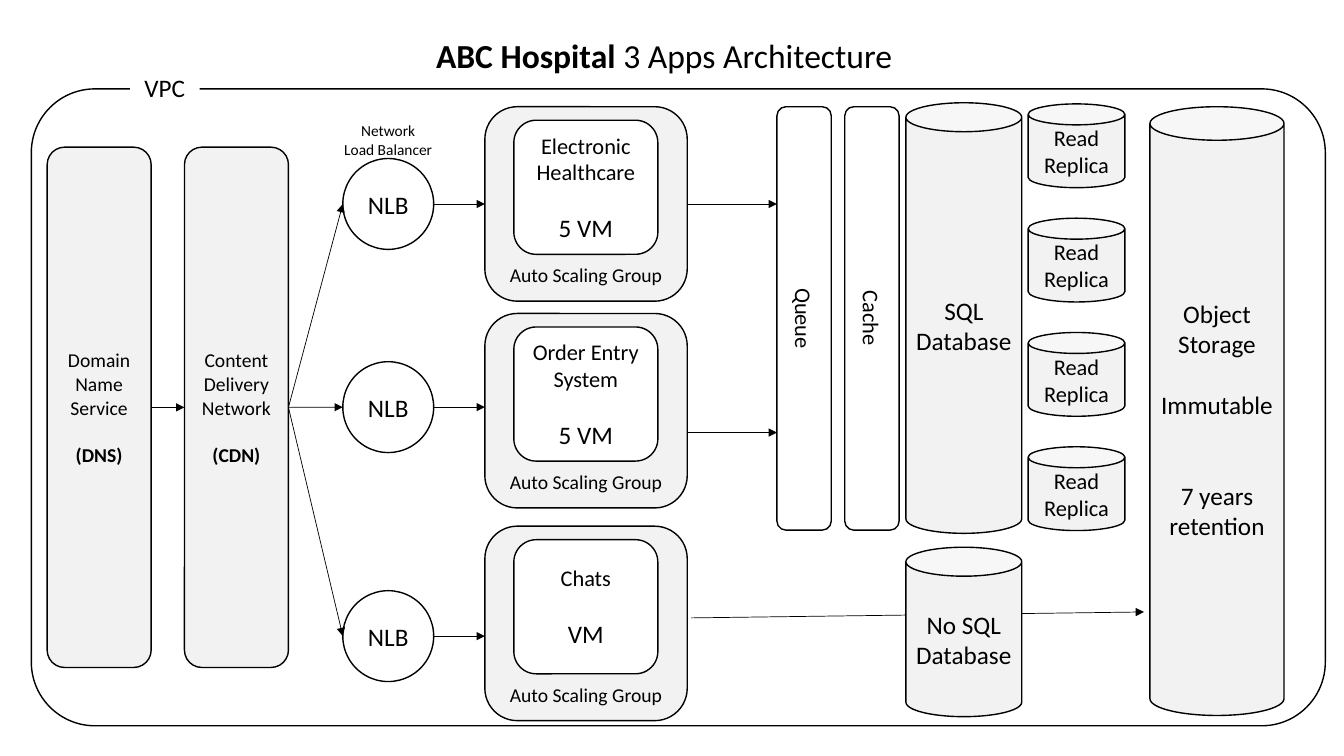
from lxml import etree
from pptx import Presentation
from pptx.dml.color import RGBColor
from pptx.enum import shapes, text
from pptx.oxml.ns import qn
from pptx.util import Cm, Pt

BLACK, WHITE, GREY = "000000", "FFFFFF", "F2F2F2"
KIND = shapes.MSO_SHAPE
TOP, MIDDLE_Y = 2.69, 10.26  # shared top edge and centre line, cm
RIGHT, LEFT = 3, 1  # connection sites

prs = Presentation()
prs.slide_width, prs.slide_height = Cm(33.87), Cm(19.05)
slide = prs.slides.add_slide(prs.slide_layouts[6])


def color(hex_code):
    return RGBColor.from_string(hex_code)


def style(run, size, bold=False):
    run.font.name, run.font.size, run.font.bold = "Calibri", Pt(size), bold
    run.font.color.rgb = color(BLACK)


def part(kind, box, lines=(), fill=None, outline=True, anchor=text.MSO_ANCHOR.MIDDLE):
    """Draw a shape; each line is (text, size, bold, space before)."""
    shape = slide.shapes.add_shape(kind, *map(Cm, box))
    shape.shadow.inherit = False
    if fill:
        shape.fill.solid()
        shape.fill.fore_color.rgb = color(fill)
    else:
        shape.fill.background()
    if outline:
        shape.line.color.rgb = color(BLACK)
        shape.line.width = Pt(1)
    else:
        shape.line.fill.background()
    frame = shape.text_frame
    frame.word_wrap, frame.vertical_anchor = True, anchor
    frame.margin_left = frame.margin_right = Cm(0.15)
    frame.text = "\n".join(line[0] for line in lines)
    for paragraph, (_, size, bold, gap) in zip(frame.paragraphs, lines):
        paragraph.alignment = text.PP_ALIGN.CENTER
        if gap:
            paragraph.space_before = Pt(gap)
        style(paragraph.runs[0], size, bold)
    return shape


def arrow(start, end, source=None, target=None):
    line = slide.shapes.add_connector(shapes.MSO_CONNECTOR.STRAIGHT, *map(Cm, start + end))
    if source is not None:
        line.begin_connect(source, RIGHT)
    if target is not None:
        line.end_connect(target, LEFT)
    line.line.color.rgb = color(BLACK)
    line.line.width = Pt(0.5)
    properties = line._element.spPr
    etree.SubElement(properties.get_or_add_ln(), qn("a:tailEnd"), type="triangle")
    etree.SubElement(properties, qn("a:effectLst"))


def title(box):
    heading = slide.shapes.add_textbox(*map(Cm, box)).text_frame
    heading.word_wrap = False
    heading.auto_size = text.MSO_AUTO_SIZE.SHAPE_TO_FIT_TEXT
    for words, bold in (("ABC Hospital ", True), ("3 Apps Architecture", False)):
        run = heading.paragraphs[0].add_run()
        run.text = words
        style(run, 24, bold)


def vpc_frame(box):
    x, y, _, _ = box
    part(KIND.ROUNDED_RECTANGLE, box).adjustments[0] = 0.1
    part(KIND.ROUNDED_RECTANGLE, (x + 2.49, y - 0.49, 1.75, 0.89),
         [("VPC", 18, False, 0)], WHITE, outline=False)


def edge_services(box):
    """DNS and CDN columns, the second returned as the source of traffic."""
    x, y, w, h = box
    width = 2.62
    dns, cdn = [
        part(KIND.ROUNDED_RECTANGLE, (left, y, width, h),
             [(name, 14, False, 0), (short, 14, True, 17)], GREY)
        for left, name, short in ((x, "Domain Name Service", "(DNS)"),
                                  (x + w - width, "Content Delivery Network", "(CDN)"))
    ]
    arrow((x + width, MIDDLE_Y), (x + w - width, MIDDLE_Y), dns, cdn)
    return cdn


def scaling_group(box, app, machines):
    x, y, w, h = box
    group = part(KIND.ROUNDED_RECTANGLE, box, [("Auto Scaling Group", 14, False, 0)],
                 GREY, anchor=text.MSO_ANCHOR.BOTTOM)
    part(KIND.ROUNDED_RECTANGLE, (x + 0.73, y + 0.34, 3.63, 3.38),
         [(app, 16, False, 0), (machines, 18, False, 19.5)], WHITE)
    return group


def app_row(box, balancer_y, cdn, app, machines):
    """Load balancer, scaling group and the arrows leading through them."""
    x, y, w, h = box
    diameter, group_x = 2.29, x + 3.58
    part(KIND.OVAL, (x, balancer_y - diameter / 2, diameter, diameter),
         [("NLB", 18, False, 0)], WHITE)
    group = scaling_group((group_x, y, w - 3.58, h), app, machines)
    centred = abs(y + h / 2 - balancer_y) < 0.05
    arrow((7.27, MIDDLE_Y), (x, balancer_y), source=cdn)
    arrow((x + diameter, balancer_y), (group_x, balancer_y),
          target=group if centred else None)
    return group


def buffers(box):
    x, y, w, h = box
    width = 1.37
    for left, name in ((x, "Queue"), (x + w - width, "Cache")):
        bar = part(KIND.ROUNDED_RECTANGLE, (left, y, width, h), [(name, 16, False, 0)], WHITE)
        bar.text_frame._txBody.bodyPr.set("vert", "vert")


def databases(box):
    x, y, w, h = box
    width, replica_width = 2.92, 2.44
    part(KIND.CAN, (x, y, width, 10.85), [("SQL Database", 18, False, 0)], GREY)
    part(KIND.CAN, (x, y + h - 4.27, width, 4.27), [("No SQL Database", 18, False, 0)], GREY)
    for i in range(4):
        part(KIND.CAN, (x + w - replica_width, y + 0.03 + i * 2.88, replica_width, 2.11),
             [("Read Replica", 16, False, 0)], GREY)


def object_storage(box):
    part(KIND.CAN, box, [("Object", 18, False, 0), ("Storage", 18, False, 0),
                         ("Immutable", 18, False, 22), ("7 years retention", 18, False, 43)],
         GREY)


# Heading and cloud boundary
title((10.74, 0.76, 12.37, 1.27))
vpc_frame((0.79, 2.24, 32.61, 16.05))

# Traffic entry and the three apps
cdn = edge_services((1.19, 3.71, 6.08, 13.11))
apps = (
    (TOP, 5.14, "Electronic Healthcare", "5 VM"),
    (7.9, MIDDLE_Y, "Order Entry System", "5 VM"),
    (13.26, 16.03, "Chats", "VM"),
)
healthcare, orders, chats = [
    app_row((8.64, top, 8.68, 4.9), balancer_y, cdn, app, machines)
    for top, balancer_y, app, machines in apps
]
part(KIND.ROUNDED_RECTANGLE, (8.03, 3.05, 3.51, 0.94),
     [("Network", 11, False, 0), ("Load Balancer", 11, False, 0)], outline=False)

# Data layer, with the chat arrow passing behind its database
buffers((19.58, TOP, 3.08, 10.67))
arrow((17.32, 5.14), (19.58, 5.14), source=healthcare)
arrow((17.32, 10.9), (19.58, 10.9))
arrow((17.42, 15.57), (28.83, 15.42))
databases((22.83, 2.59, 5.52, 15.47))
object_storage((28.98, TOP, 3.38, 15.34))

prs.save("out.pptx")
